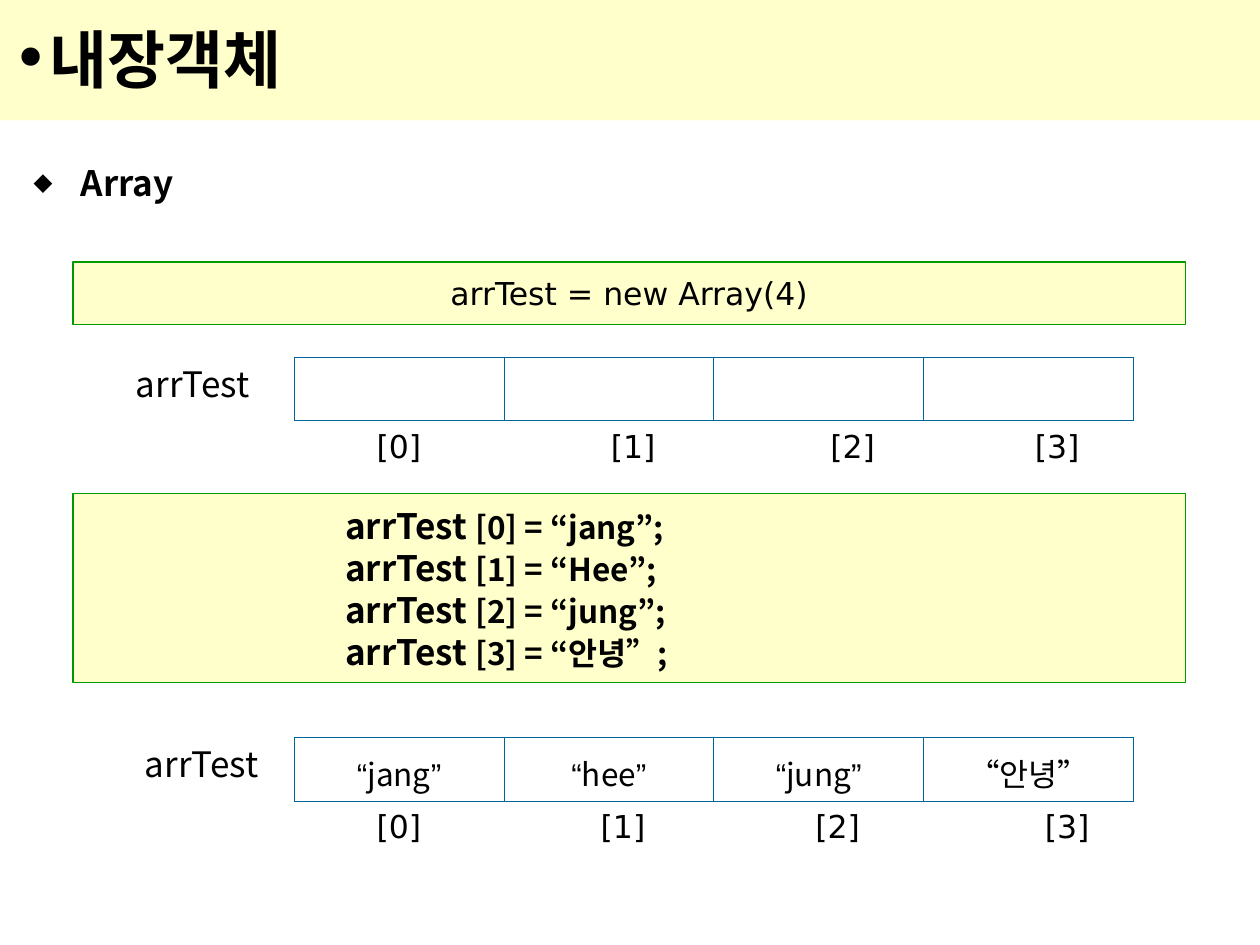
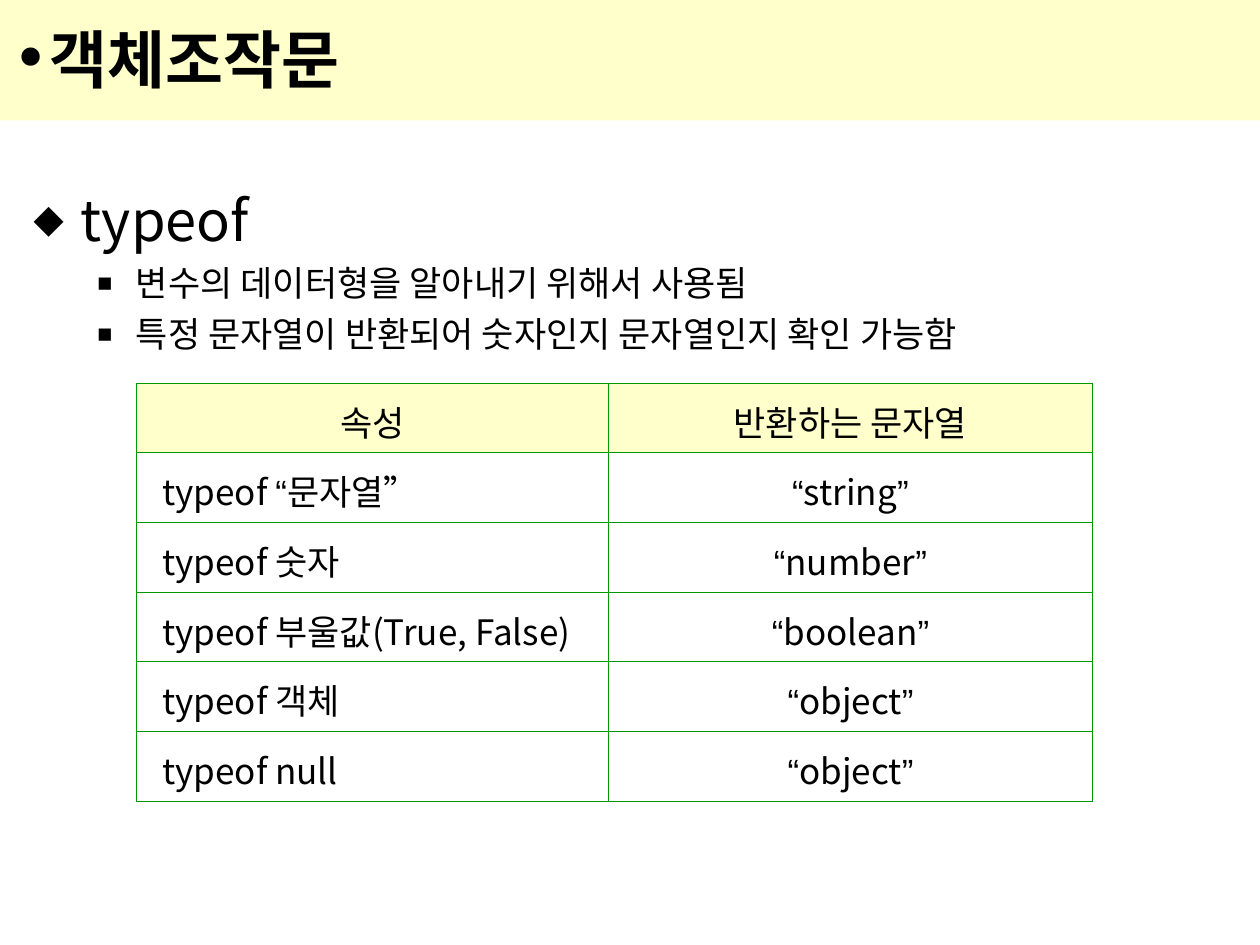
from lxml import etree
from pptx import Presentation
from pptx.dml.color import RGBColor
from pptx.enum.shapes import MSO_SHAPE
from pptx.enum.text import MSO_ANCHOR, MSO_AUTO_SIZE, PP_ALIGN
from pptx.oxml.ns import qn
from pptx.util import Cm, Pt

LEFT, CENTER = PP_ALIGN.LEFT, PP_ALIGN.CENTER
TOP, MIDDLE = MSO_ANCHOR.TOP, MSO_ANCHOR.MIDDLE
NO_AUTO_SIZE = MSO_AUTO_SIZE.NONE
RECTANGLE = MSO_SHAPE.RECTANGLE

BLACK = RGBColor(0x00, 0x00, 0x00)
CREAM = RGBColor(0xFF, 0xFF, 0xCC)
GREEN = RGBColor(0x00, 0x99, 0x00)
BLUE = RGBColor(0x00, 0x66, 0x99)

KOREAN_FONT = "Noto Sans CJK KR"
CODE_FONT = "DejaVu Sans"
QUOTE_FONT = "Arial"

TITLE_LAYOUT = 1
SLIDE_WIDTH, SLIDE_HEIGHT = Cm(25.4), Cm(19.05)
INSET_X, INSET_Y = Cm(0.25), Cm(0.13)
INDEX_LEFTS = (7.19, 11.43, 15.88, 20.32)


def format_run(run, size, font=KOREAN_FONT, bold=False):
    """Give a run its font for Latin and Korean text, its size and weight."""
    run.font.size = Pt(size)
    run.font.bold = bold
    run.font.color.rgb = BLACK
    run.font.name = font
    east_asian = etree.SubElement(run.font._element, qn("a:ea"))
    east_asian.set("typeface", KOREAN_FONT)


def add_run(paragraph, text, size, font=KOREAN_FONT, bold=False):
    """Append a formatted run to a paragraph."""
    run = paragraph.add_run()
    run.text = text
    format_run(run, size, font, bold)


def add_quoted(paragraph, word, size):
    """Append a word in curly quotation marks."""
    add_run(paragraph, "“", size, QUOTE_FONT)
    add_run(paragraph, word, size)
    add_run(paragraph, "”", size, QUOTE_FONT)


def add_bullet(paragraph, character, margin, hanging, percent=100):
    """Give a paragraph a black bullet with a hanging indent."""
    properties = paragraph._p.get_or_add_pPr()
    properties.set("marL", str(margin))
    properties.set("indent", str(-hanging))
    color = etree.SubElement(properties, qn("a:buClr"))
    etree.SubElement(color, qn("a:srgbClr")).set("val", str(BLACK))
    etree.SubElement(properties, qn("a:buSzPct")).set("val", str(percent * 1000))
    etree.SubElement(properties, qn("a:buFont")).set("typeface", CODE_FONT)
    etree.SubElement(properties, qn("a:buChar")).set("char", character)


def set_frame(frame, anchor, wrap=True):
    """Set the insets, anchor and wrapping of a text frame."""
    frame.auto_size = NO_AUTO_SIZE
    frame.word_wrap = wrap
    frame.vertical_anchor = anchor
    frame.margin_left = frame.margin_right = INSET_X
    frame.margin_top = frame.margin_bottom = INSET_Y


def place(shape, left, top, width, height):
    """Move and resize a placeholder."""
    shape.left, shape.top, shape.width, shape.height = left, top, width, height


def add_titled_slide(presentation, title, body_top, items):
    """Add a slide with the title band and a list of (level, text, size, bold, space)."""
    slide = presentation.slides.add_slide(presentation.slide_layouts[TITLE_LAYOUT])
    band = slide.shapes.title
    place(band, 0, Cm(-0.08), SLIDE_WIDTH, Cm(2.51))
    band.fill.solid()
    band.fill.fore_color.rgb = CREAM
    set_frame(band.text_frame, MIDDLE)
    paragraph = band.text_frame.paragraphs[0]
    paragraph.alignment = LEFT
    add_bullet(paragraph, "•", Cm(0.58), Cm(0.58))
    add_run(paragraph, title, 36, bold=True)

    body = slide.placeholders[1]
    place(body, Cm(0.43), body_top, Cm(24.56), Cm(15.04))
    frame = body.text_frame
    set_frame(frame, TOP)
    bullets = (("◆", Cm(0.95), Cm(0.95)), ("▪", Cm(2.06), Cm(0.79)))
    for number, (level, text, size, bold, space) in enumerate(items):
        paragraph = frame.add_paragraph() if number else frame.paragraphs[0]
        paragraph.level = level
        paragraph.space_before = Pt(space)
        add_bullet(paragraph, *bullets[level], 70)
        add_run(paragraph, text, size, bold=bold)
    return slide


def add_code_box(slide, top, height):
    """Add a cream box with a green outline and return its text frame."""
    box = slide.shapes.add_shape(RECTANGLE, Cm(1.47), top, Cm(22.43), height)
    box.shadow.inherit = False
    box.fill.solid()
    box.fill.fore_color.rgb = CREAM
    box.line.color.rgb = GREEN
    box.line.width = Pt(0.75)
    set_frame(box.text_frame, MIDDLE)
    return box.text_frame


def add_label(slide, text, left, top, width, size, font, alignment):
    """Add a one-line text label."""
    label = slide.shapes.add_textbox(left, top, width, Cm(1.02))
    set_frame(label.text_frame, TOP, wrap=alignment == CENTER)
    paragraph = label.text_frame.paragraphs[0]
    paragraph.alignment = alignment
    add_run(paragraph, text, size, font)


def add_grid(slide, left, top, widths, row_height, row_count, line_color):
    """Add an unfilled table with thin borders in one colour."""
    frame = slide.shapes.add_table(row_count, len(widths), left, top, sum(widths), row_height * row_count)
    table = frame.table
    table.first_row = table.horz_banding = False
    for column, width in zip(table.columns, widths):
        column.width = width
    for cell in table.iter_cells():
        properties = cell._tc.get_or_add_tcPr()
        for side in ("a:lnL", "a:lnR", "a:lnT", "a:lnB"):
            line = etree.SubElement(properties, qn(side), w=str(Pt(0.45)))
            fill = etree.SubElement(line, qn("a:solidFill"))
            etree.SubElement(fill, qn("a:srgbClr")).set("val", str(line_color))
        cell.fill.background()
        cell.vertical_anchor = MIDDLE
        cell.margin_left = cell.margin_right = INSET_X
        cell.margin_top, cell.margin_bottom = Cm(0.25), INSET_Y
    return table


def add_array_diagram(slide, top, name_left, index_widths, values=()):
    """Draw the four array cells with the array name and the indexes below."""
    table = add_grid(slide, Cm(5.93), top, [Cm(4.23)] * 4, Cm(1.27), 1, BLUE)
    for cell, value in zip(table.iter_cells(), values):
        paragraph = cell.text_frame.paragraphs[0]
        paragraph.alignment = CENTER
        add_quoted(paragraph, value, 18)
    add_label(slide, "arrTest", name_left, top - Cm(0.03), Cm(2.87), 20, KOREAN_FONT, LEFT)
    for index, (left, width) in enumerate(zip(INDEX_LEFTS, index_widths)):
        add_label(slide, f"[{index}]", Cm(left), top + Cm(1.27), Cm(width), 18, CODE_FONT, CENTER)


def build_array_slide(presentation):
    """Build the slide on creating and filling an array."""
    slide = add_titled_slide(presentation, "내장객체", Cm(3.12), [(0, "Array", 20, True, 0)])
    creation = add_code_box(slide, Cm(5.28), Cm(1.27)).paragraphs[0]
    creation.alignment = CENTER
    add_run(creation, "arrTest = new Array(4)", 18, CODE_FONT)
    add_array_diagram(slide, Cm(7.2), Cm(2.49), (1.7, 2.67, 2.62, 1.98))

    frame = add_code_box(slide, Cm(9.95), Cm(3.81))
    frame.margin_left = Cm(5.49)
    for index, value in enumerate(("jang", "Hee", "jung", "안녕")):
        paragraph = frame.add_paragraph() if index else frame.paragraphs[0]
        paragraph.alignment = LEFT
        add_run(paragraph, "arrTest ", 20, bold=True)
        add_run(paragraph, f"[{index}] = “{value}”;", 18, bold=True)
    add_array_diagram(slide, Cm(14.86), Cm(2.67), (1.7, 2.26, 2.01, 2.39), ("jang", "hee", "jung", "안녕"))


def add_typeof_table(slide, left, top):
    """Add the table of typeof operands and the strings they return."""
    rows = (
        ("숫자", "number"),
        ("부울값(True, False)", "boolean"),
        ("객체", "object"),
        ("null", "object"),
    )
    table = add_grid(slide, left, top, (Cm(9.53), Cm(9.75)), Cm(1.28), len(rows) + 2, GREEN)
    for column, heading in enumerate(("속성", "반환하는 문자열")):
        cell = table.cell(0, column)
        cell.fill.solid()
        cell.fill.fore_color.rgb = CREAM
        paragraph = cell.text_frame.paragraphs[0]
        paragraph.alignment = CENTER
        add_run(paragraph, heading, 20)
    for number, (operand, result) in enumerate((("문자열", "string"),) + rows, start=1):
        operand_cell, result_cell = table.cell(number, 0), table.cell(number, 1)
        operand_cell.margin_left = Cm(0.53)
        paragraph = operand_cell.text_frame.paragraphs[0]
        if result == "string":
            add_run(paragraph, "typeof ", 20)
            add_quoted(paragraph, operand, 20)
        else:
            add_run(paragraph, f"typeof {operand}", 20)
        paragraph = result_cell.text_frame.paragraphs[0]
        paragraph.alignment = CENTER
        add_quoted(paragraph, result, 20)


def build_typeof_slide(presentation):
    """Build the slide on the typeof operator."""
    items = [
        (0, "typeof", 32, False, 0),
        (1, "변수의 데이터형을 알아내기 위해서 사용됨", 20, False, 5),
        (1, "특정 문자열이 반환되어 숫자인지 문자열인지 확인 가능함", 20, False, 5),
    ]
    slide = add_titled_slide(presentation, "객체조작문", Cm(3.61), items)
    add_typeof_table(slide, Cm(2.74), Cm(7.72))


def main():
    """Build and save the presentation."""
    presentation = Presentation()
    presentation.slide_width, presentation.slide_height = SLIDE_WIDTH, SLIDE_HEIGHT
    build_array_slide(presentation)
    build_typeof_slide(presentation)
    presentation.save("out.pptx")


if __name__ == "__main__":
    main()
